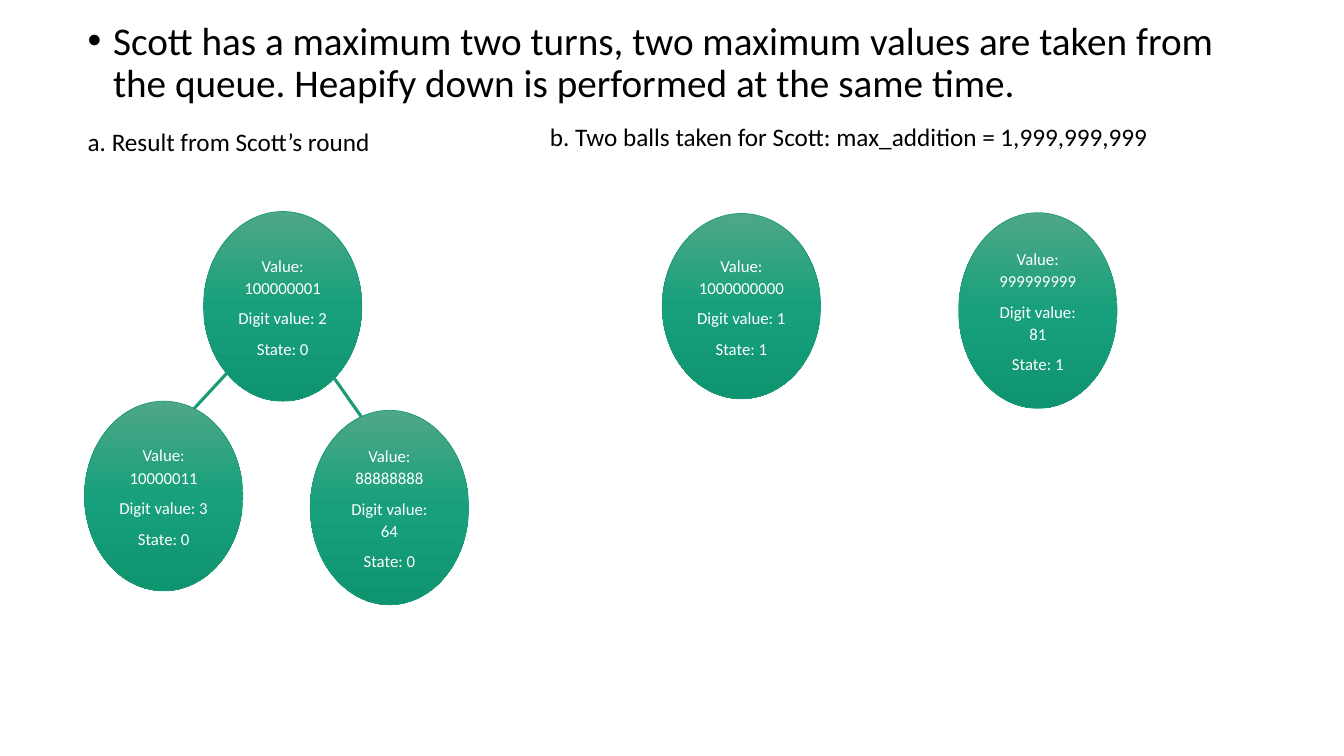
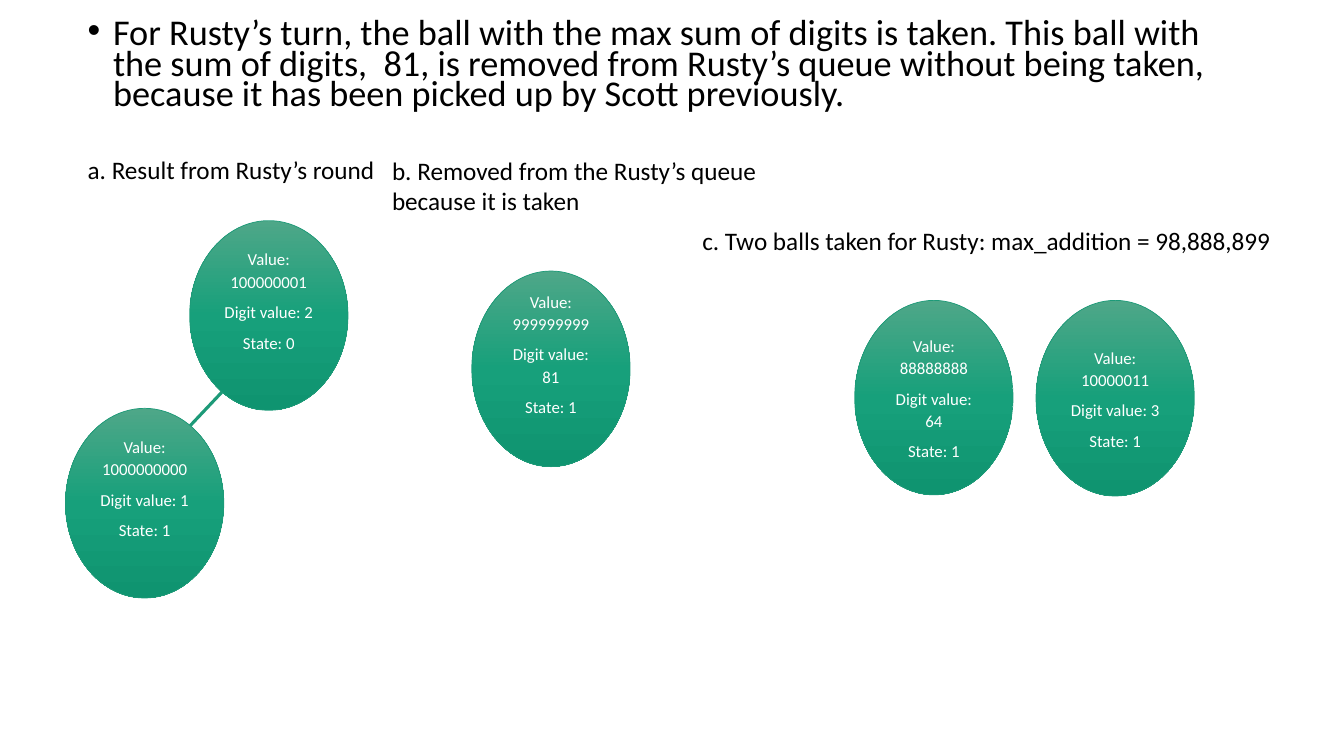
from copy import deepcopy

from lxml.etree import SubElement
from pptx import Presentation
from pptx.dml.color import RGBColor
from pptx.enum.shapes import MSO_CONNECTOR, MSO_SHAPE
from pptx.enum.text import MSO_ANCHOR, MSO_AUTO_SIZE, PP_ALIGN
from pptx.oxml.ns import qn
from pptx.util import Cm, Pt

FONT = "Calibri"
BLACK = RGBColor(0x00, 0x00, 0x00)
WHITE = RGBColor(0xFF, 0xFF, 0xFF)
EDGE = RGBColor(0x1D, 0x9A, 0x78)
BALL_GRADIENT = [
    (0, RGBColor(0x4E, 0xA7, 0x88)),
    (0.5, RGBColor(0x17, 0xA0, 0x7B)),
    (1, RGBColor(0x0F, 0x94, 0x70)),
]
BALL_WIDTH = 3.99
PLAIN_INSET, RAISED_INSET = 0.13, 0.91

# Positions and lengths below are in centimetres.
SLIDES = [
    {
        "heading": ("Scott has a maximum two turns, two maximum values are taken from "
                    "the queue. Heapify down is performed at the same time.", 28, 0.9),
        "labels": [
            (1.96, 3.05, 11.35, ["a. Result from Scott’s round"]),
            (13.61, 2.92, 18.21, ["b. Two balls taken for Scott: max_addition = 1,999,999,999"]),
        ],
        "branches": [(5.72, 9.4, 4.85, 10.34), (8.33, 9.4, 9.12, 10.52)],
        "balls": [
            (7.82, 10.34, 4.9, 88888888, 64, 0, PLAIN_INSET),
            (2.13, 10.11, 4.78, 10000011, 3, 0, PLAIN_INSET),
            (5.13, 5.33, 4.78, 100000001, 2, 0, PLAIN_INSET),
            (16.69, 5.38, 4.67, 1000000000, 1, 1, PLAIN_INSET),
            (24.16, 5.36, 4.93, 999999999, 81, 1, PLAIN_INSET),
        ],
    },
    {
        "heading": ("For Rusty’s turn, the ball with the max sum of digits is taken. "
                    "This ball with the sum of digits,  81, is removed from Rusty’s queue "
                    "without being taken, because it has been picked up by Scott previously.",
                    25.9, 0.7),
        "labels": [
            (1.96, 3.76, 11.35, ["a. Result from Rusty’s round"]),
            (9.63, 3.78, 9.83, ["b. Removed from the Rusty’s queue", "because it is taken"]),
            (17.45, 5.56, 15.14, ["c. Two balls taken for Rusty: max_addition = 98,888,899"]),
        ],
        "branches": [(5.64, 9.83, 4.78, 10.74)],
        "balls": [
            (11.89, 6.83, 4.93, 999999999, 81, 1, RAISED_INSET),
            (26.11, 7.57, 4.93, 10000011, 3, 1, PLAIN_INSET),
            (21.54, 7.57, 4.9, 88888888, 64, 1, PLAIN_INSET),
            (4.78, 5.56, 4.78, 100000001, 2, 0, RAISED_INSET),
            (1.65, 10.29, 4.78, 1000000000, 1, 1, RAISED_INSET),
        ],
    },
]


def write(frame, lines, size, color):
    frame.word_wrap = True
    for index, line in enumerate(lines):
        para = frame.paragraphs[0] if index == 0 else frame.add_paragraph()
        para.text = line
        para.font.name = FONT
        para.font.size = Pt(size)
        para.font.color.rgb = color
    return frame.paragraphs


def add_heading(page, text, size, spacing):
    box = page.shapes.add_textbox(Cm(1.96), Cm(0.41), Cm(29.21), Cm(2.64))
    para = write(box.text_frame, [text], size, BLACK)[0]
    para.line_spacing = spacing
    para.space_before = Pt(10)
    properties = para._p.get_or_add_pPr()
    properties.set("marL", str(Cm(0.64)))
    properties.set("indent", str(-Cm(0.64)))
    bullet_font = properties.makeelement(qn("a:buFont"), {"typeface": "Arial"})
    bullet = properties.makeelement(qn("a:buChar"), {"char": "•"})
    text_defaults = properties.find(qn("a:defRPr"))
    text_defaults.addprevious(bullet_font)
    text_defaults.addprevious(bullet)


def add_label(page, left, top, width, lines):
    height = 0.25 + 0.77 * len(lines)
    box = page.shapes.add_textbox(Cm(left), Cm(top), Cm(width), Cm(height))
    write(box.text_frame, lines, 18, BLACK)
    box.text_frame.auto_size = MSO_AUTO_SIZE.SHAPE_TO_FIT_TEXT


def add_branch(page, *ends):
    branch = page.shapes.add_connector(MSO_CONNECTOR.STRAIGHT, *map(Cm, ends))
    branch.line.color.rgb = EDGE
    branch.line.width = Pt(2.25)
    SubElement(branch._element.spPr, qn("a:effectLst"))


def fill_gradient(fill):
    fill.gradient()
    fill.gradient_angle = 270
    first = fill.gradient_stops[0]._gs
    first.addnext(deepcopy(first))
    for stop, (position, color) in zip(fill.gradient_stops, BALL_GRADIENT):
        stop.position = position
        stop.color.rgb = color


def add_ball(page, left, top, height, value, digits, state, bottom_inset):
    ball = page.shapes.add_shape(MSO_SHAPE.FLOWCHART_CONNECTOR, Cm(left), Cm(top),
                                 Cm(BALL_WIDTH), Cm(height))
    ball.shadow.inherit = False
    fill_gradient(ball.fill)
    ball.line.color.rgb = EDGE
    ball.line.width = Pt(0.5)
    frame = ball.text_frame
    frame.vertical_anchor = MSO_ANCHOR.MIDDLE
    frame.margin_bottom = Cm(bottom_inset)
    lines = [f"Value: {value}", f"Digit value: {digits}", f"State: {state}"]
    for para in write(frame, lines, 12, WHITE):
        para.alignment = PP_ALIGN.CENTER
        para.line_spacing = 1.1
        para.space_after = Pt(6)


deck = Presentation()
deck.slide_width, deck.slide_height = Cm(33.87), Cm(19.05)
for content in SLIDES:
    page = deck.slides.add_slide(deck.slide_layouts[6])
    add_heading(page, *content["heading"])
    for add_part, kind in ((add_label, "labels"), (add_branch, "branches"), (add_ball, "balls")):
        for part in content[kind]:
            add_part(page, *part)
deck.save("out.pptx")
